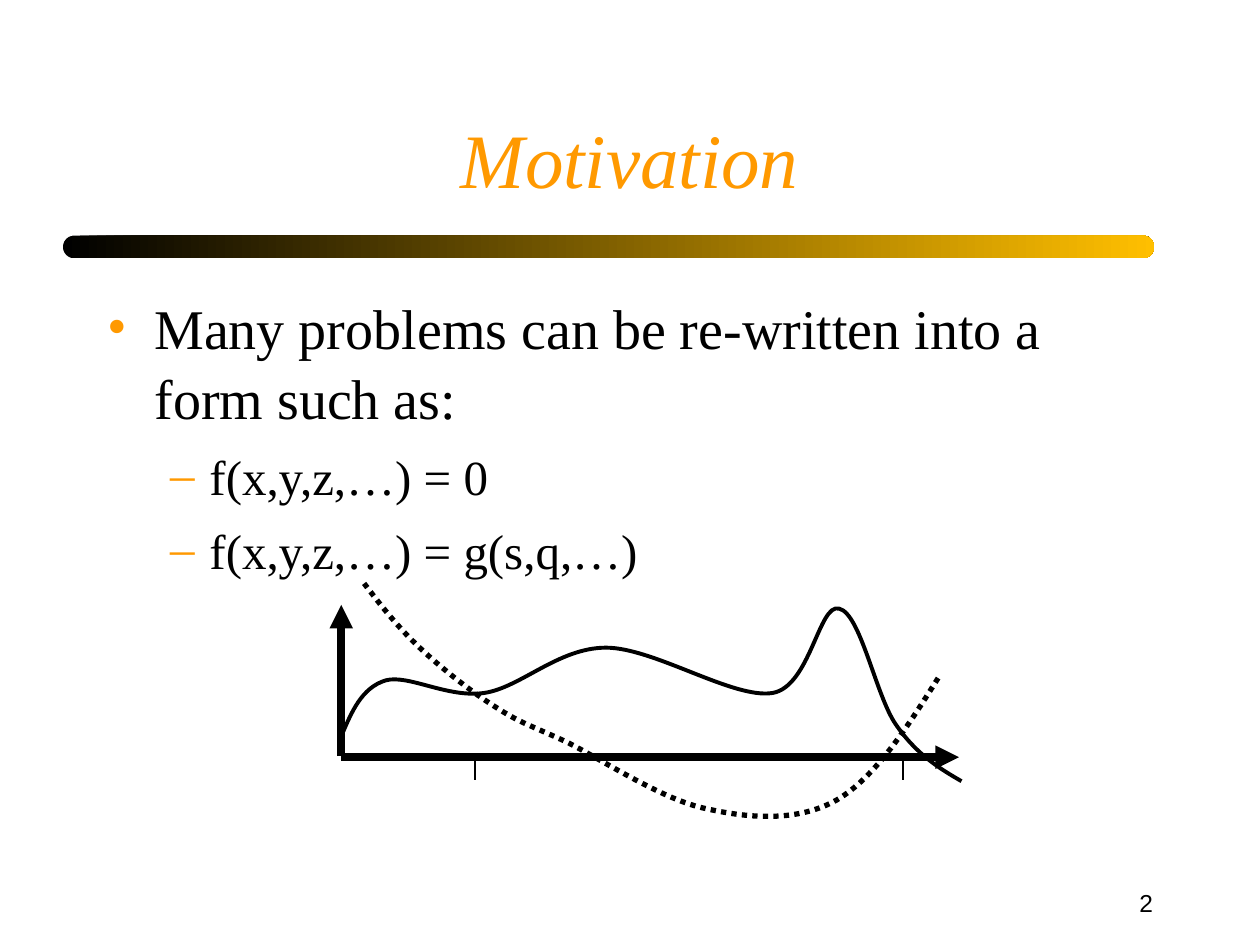
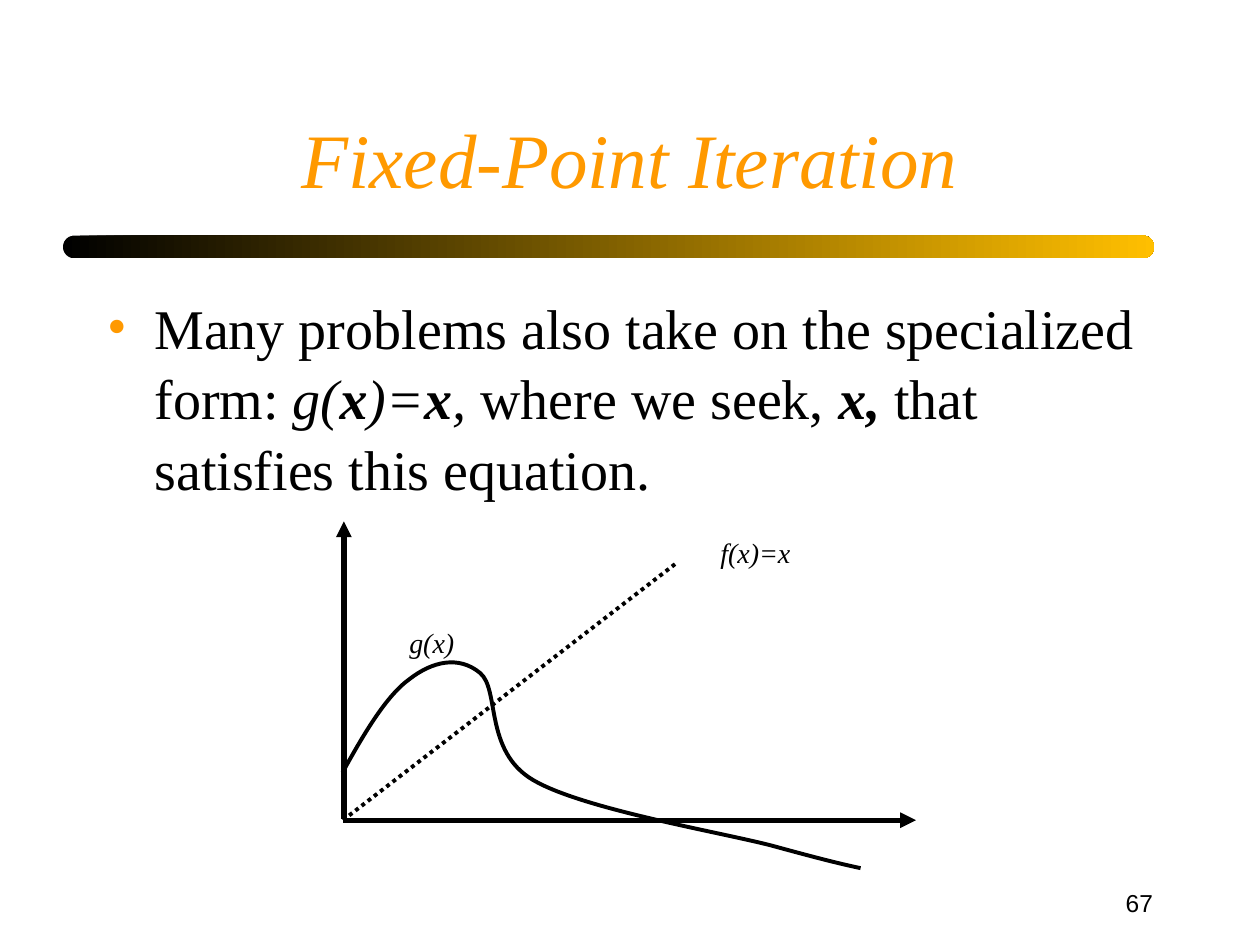
from pptx import Presentation
from pptx.dml.color import RGBColor
from pptx.enum.dml import MSO_LINE
from pptx.enum.shapes import MSO_CONNECTOR, MSO_SHAPE
from pptx.enum.text import MSO_ANCHOR, MSO_AUTO_SIZE, PP_ALIGN
from pptx.oxml.ns import qn
from pptx.oxml.xmlchemy import OxmlElement
from pptx.util import Pt

STRAIGHT = MSO_CONNECTOR.STRAIGHT
ROUND_RECT = MSO_SHAPE.ROUNDED_RECTANGLE
DOTS = MSO_LINE.ROUND_DOT
TOP, MIDDLE, BOTTOM = MSO_ANCHOR.TOP, MSO_ANCHOR.MIDDLE, MSO_ANCHOR.BOTTOM
LEFT, CENTER, RIGHT = PP_ALIGN.LEFT, PP_ALIGN.CENTER, PP_ALIGN.RIGHT
FIXED = MSO_AUTO_SIZE.NONE

COLORS = {"ink": "000000", "accent": "FF9900", "gold": "FFBF00"}
SERIF, SANS = "Times New Roman", "Arial"

BAND = (36, 134.6, 623.5, 13)
TITLE = (54, 30, 612, 90)
BODY = (54, 162, 612, 324)
NUMBER = (516, 498, 150, 36)
LINE_SPACING = 1.05

TITLE_FONT = {"name": SERIF, "size": Pt(44), "italic": True}
LABEL_FONT = {"name": SERIF, "size": Pt(16), "italic": True}
NUMBER_FONT = {"name": SANS, "size": Pt(14)}
LEVELS = [
    {"size": 32, "bullet": "•", "left": 27, "hanging": 27, "before": 8},
    {"size": 28, "bullet": "–", "left": 58.5, "hanging": 22.5, "before": 7},
]
STYLES = {
    "plain": {},
    "italic": {"italic": True},
    "strong": {"italic": True, "bold": True},
}

SLIDES = [
    {
        "title": "Motivation",
        "number": "2",
        "body": [
            (0, [("Many problems can be re-written into a form such as:", "plain")]),
            (1, [("f(x,y,z,…) = 0", "plain")]),
            (1, [("f(x,y,z,…) = g(s,q,…)", "plain")]),
        ],
        "axes": [((195, 432.7), (548, 432.7)), ((195, 432), (195, 345.6))],
        "axis_width": 4.5,
        "lines": [
            ((271.4, 432), (271.4, 445.7), 1, None),
            ((516.2, 431.3), (516.2, 445.7), 1, None),
        ],
        "curves": [
            ([(195.1, 420.5), (200.9, 406.8), (206.6, 393.1), (220.3, 388.8),
              (233.3, 385.2), (255.6, 398.9), (276.5, 396),
              (297.4, 393.1), (319, 370.1), (346.3, 370.1),
              (373.7, 370.1), (419, 399.6), (441.4, 396),
              (463, 392.4), (468, 344.2), (479.5, 347.8),
              (491.8, 350.6), (500.4, 397.4), (511.9, 414),
              (523.4, 430.6), (535.7, 438.5), (549.4, 446.4)], 2.25, None),
            ([(208.1, 333.4), (217.4, 345.6), (226.8, 357.8), (239.8, 370.1),
              (252, 381.6), (269.3, 395.3), (283, 403.9),
              (297.4, 413.3), (303.8, 414.7), (324, 424.1),
              (344.2, 434.2), (378.7, 457.2), (403.9, 462.2),
              (429.8, 468), (456.5, 469.4), (478.1, 457.2),
              (500.4, 444.2), (519.1, 414.7), (537.1, 385.9)], 3, DOTS),
        ],
        "labels": [],
    },
    {
        "title": "Fixed-Point Iteration",
        "number": "67",
        "body": [
            (0, [("Many problems also take on the specialized form: ", "plain"),
                 ("g(", "italic"), ("x", "strong"), (")=", "italic"),
                 ("x", "strong"), (",", "italic"), (" where we seek, ", "plain"),
                 ("x,", "strong"), (" that satisfies this equation.", "plain")]),
        ],
        "axes": [((196.5, 468), (196.5, 298)), ((196, 468.7), (523.4, 468.7))],
        "axis_width": 3,
        "lines": [((196, 468.7), (387.4, 321.1), 2.25, DOTS)],
        "curves": [
            ([(195.8, 441.4), (208.1, 419), (221, 397.4), (234, 388.1),
              (247, 378), (262.1, 374.4), (274.3, 384.5),
              (285.8, 393.8), (276.5, 429.1), (304.6, 445.7),
              (332.6, 462.2), (409.7, 475.2), (440.6, 483.1),
              (472.3, 491.8), (481.7, 493.9), (491.8, 496.1)], 2.25, None),
        ],
        "labels": [("f(x)=x", (404.6, 302.4, 54, 26.6)),
                   ("g(x)", (226.8, 354.2, 39.6, 26.6))],
    },
]


def color(name):
    return RGBColor.from_string(COLORS[name])


def points(values):
    return [Pt(value) for value in values]


def place(shape, area):
    for name, value in zip(("left", "top", "width", "height"), points(area)):
        setattr(shape, name, value)


def add_span(para, text, formats, color_name="ink"):
    span = para.add_run()
    span.text = text
    for name, value in formats.items():
        setattr(span.font, name, value)
    span.font.color.rgb = color(color_name)


def set_frame(box, anchor, wrap):
    frame = box.text_frame
    for name, value in {"auto_size": FIXED, "vertical_anchor": anchor,
                        "word_wrap": wrap}.items():
        setattr(frame, name, value)
    return frame


def add_text(page, text, area, formats, align, anchor):
    box = page.shapes.add_textbox(*points(area))
    para = set_frame(box, anchor, False).paragraphs[0]
    para.alignment = align
    add_span(para, text, formats)


def set_title(page, text):
    place(page.shapes.title, TITLE)
    para = set_frame(page.shapes.title, BOTTOM, True).paragraphs[0]
    para.alignment = CENTER
    add_span(para, text, TITLE_FONT, "accent")


def set_bullet(para, level):
    properties = para._p.get_or_add_pPr()
    properties.set("marL", str(Pt(level["left"])))
    properties.set("indent", str(-Pt(level["hanging"])))
    tint = OxmlElement("a:buClr")
    value = OxmlElement("a:srgbClr")
    value.set("val", COLORS["accent"])
    tint.append(value)
    face = OxmlElement("a:buFont")
    face.set("typeface", SERIF)
    mark = OxmlElement("a:buChar")
    mark.set("char", level["bullet"])
    properties.extend([tint, face, mark])


def fill_body(page, items):
    body = page.placeholders[1]
    place(body, BODY)
    frame = set_frame(body, TOP, True)
    for index, (depth, spans) in enumerate(items):
        level = LEVELS[depth]
        para = frame.add_paragraph() if index else frame.paragraphs[0]
        set_bullet(para, level)
        para.level = depth
        para.alignment = LEFT
        para.line_spacing = LINE_SPACING
        para.space_before = Pt(level["before"] if index else 0)
        for text, style in spans:
            add_span(para, text, {"name": SERIF, "size": Pt(level["size"]), **STYLES[style]})


def set_stroke(shape, width, dash):
    shape.line.color.rgb = color("ink")
    shape.line.width = Pt(width)
    if dash:
        shape.line.dash_style = dash


def add_line(page, start, end, width, dash=None, arrow=False):
    line = page.shapes.add_connector(STRAIGHT, *points(start + end))
    set_stroke(line, width, dash)
    properties = line.element.spPr
    properties.append(OxmlElement("a:effectLst"))
    if arrow:
        tip = OxmlElement("a:tailEnd")
        tip.set("type", "triangle")
        properties.find(qn("a:ln")).append(tip)


def add_curve(page, knots, width, dash):
    corners = [points(knot) for knot in knots]
    builder = page.shapes.build_freeform(*corners[0])
    builder.add_line_segments(corners[1:], close=False)
    curve = builder.convert_to_shape()
    outline = next(curve.element.iter(qn("a:path")))
    segments = outline.findall(qn("a:lnTo"))
    for first in range(0, len(segments), 3):
        bend = OxmlElement("a:cubicBezTo")
        for segment in segments[first:first + 3]:
            bend.append(segment[0])
            outline.remove(segment)
        outline.append(bend)
    curve.fill.background()
    curve.shadow.inherit = False
    set_stroke(curve, width, dash)


def add_master_band(deck, page):
    band = page.shapes.add_shape(ROUND_RECT, *points(BAND))
    band.adjustments[0] = 0.5
    band.shadow.inherit = False
    band.line.fill.background()
    band.fill.gradient()
    band.fill.gradient_angle = 0
    for stop, name in zip(band.fill.gradient_stops, ("ink", "gold")):
        stop.color.rgb = color(name)
    deck.slide_master.shapes.element.append(band.element)


def build_slide(page, content):
    add_text(page, content["number"], NUMBER, NUMBER_FONT, RIGHT, MIDDLE)
    set_title(page, content["title"])
    fill_body(page, content["body"])
    for start, end in content["axes"]:
        add_line(page, start, end, content["axis_width"], arrow=True)
    for line in content["lines"]:
        add_line(page, *line)
    for curve in content["curves"]:
        add_curve(page, *curve)
    for text, area in content["labels"]:
        add_text(page, text, area, LABEL_FONT, LEFT, TOP)


def main():
    deck = Presentation()
    deck.slide_width, deck.slide_height = Pt(720), Pt(540)
    for index, content in enumerate(SLIDES):
        page = deck.slides.add_slide(deck.slide_layouts[1])
        if index == 0:
            add_master_band(deck, page)
        build_slide(page, content)
    deck.save("out.pptx")


if __name__ == "__main__":
    main()
